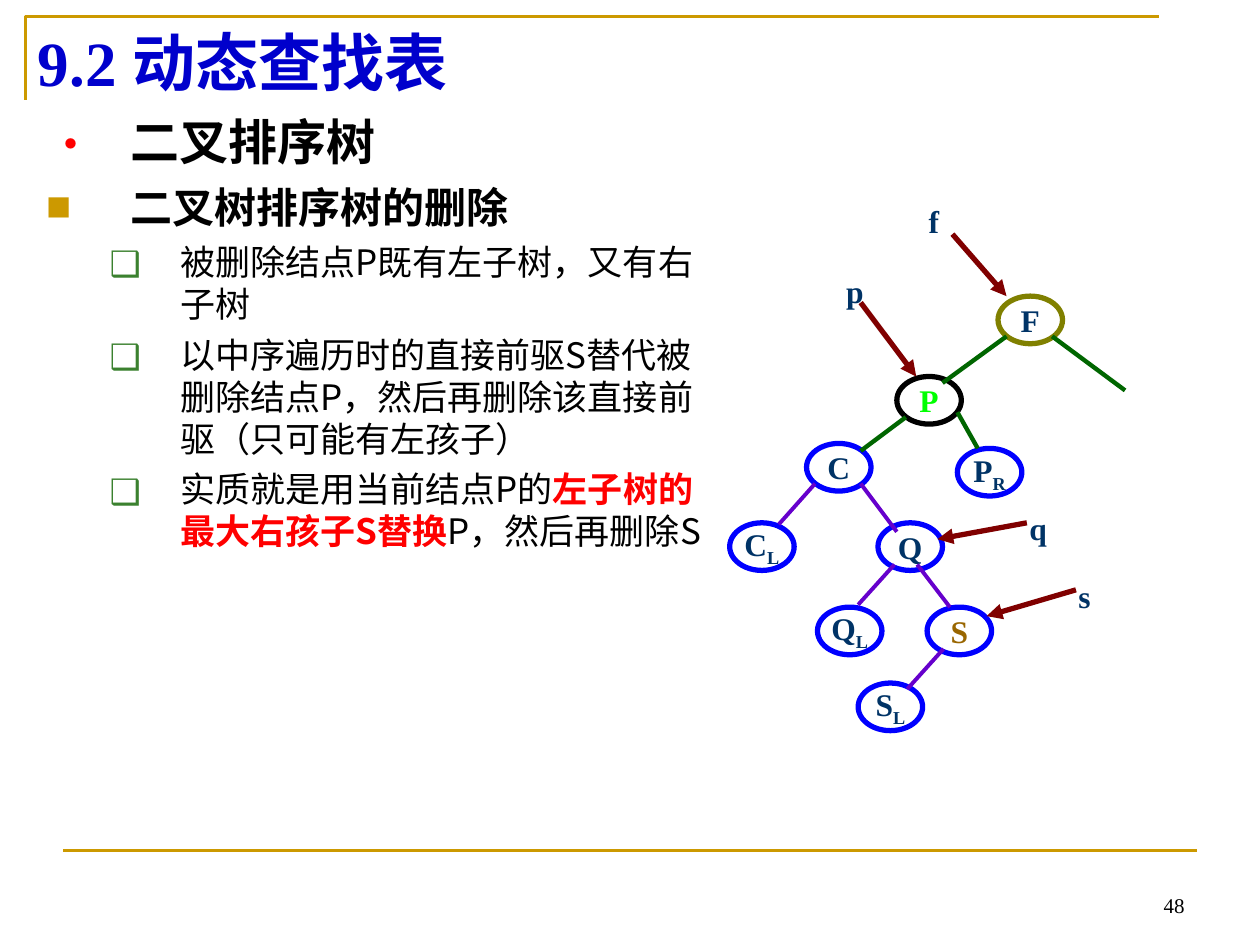
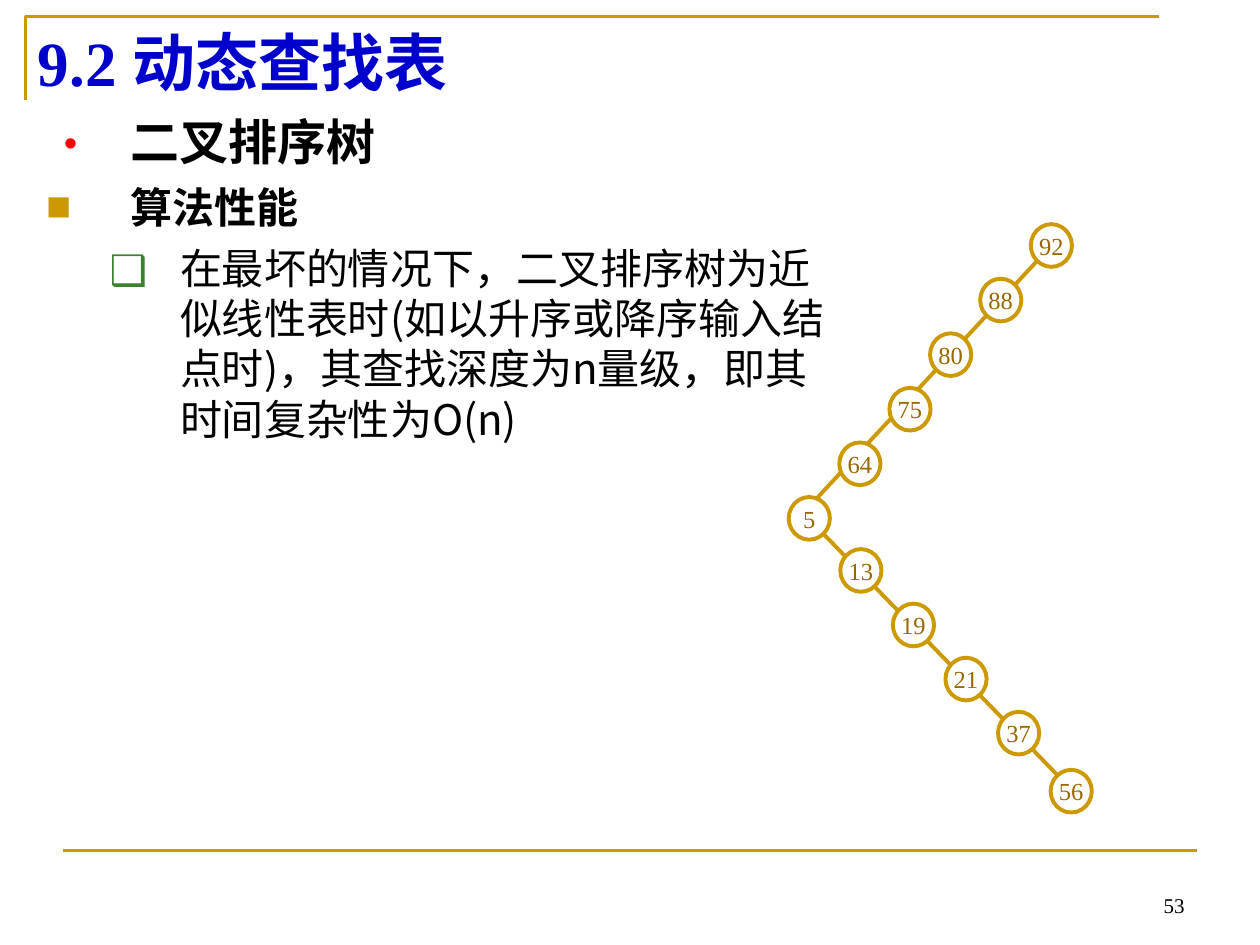
"""Builds two slides on binary search trees: node deletion and worst-case performance."""
from lxml.etree import SubElement
from pptx import Presentation
from pptx.dml.color import RGBColor
from pptx.enum.shapes import MSO_CONNECTOR, MSO_SHAPE
from pptx.enum.text import MSO_ANCHOR, PP_ALIGN
from pptx.oxml.ns import qn
from pptx.util import Cm, Pt

SERIF = "Times New Roman"
SANS = "Noto Sans CJK SC"
GOLD, BROWN, NAVY, BLUE = "CC9900", "996600", "003366", "0000FF"
BLACK, RED, MAROON = "000000", "FF0000", "800000"
GREEN, PURPLE = "006600", "6600CC"

BULLETS = {
    "topic": ("•", RED, 100, 1.7, 1.7),
    "section": ("■", GOLD, 60, 1.7, 1.7),
    "point": ("❑", "3B812F", 100, 2.69, 1.42),
}


def color(value):
    return RGBColor.from_string(value)


class Slides:
    def __init__(self):
        self.deck = Presentation()
        self.deck.slide_width, self.deck.slide_height = Cm(25.4), Cm(19.05)
        self.page = None

    def start(self, title, number):
        self.page = self.deck.slides.add_slide(self.deck.slide_layouts[5])
        corner = self.page.shapes.build_freeform(Cm(0.51), Cm(2.01))
        corner.add_line_segments([(Cm(0.51), Cm(0.33)), (Cm(23.37), Cm(0.33))], close=False)
        frame = corner.convert_to_shape()
        frame.shadow.inherit = False
        frame.fill.background()
        self.outline(frame, GOLD, 1.5)
        self.line((1.27, 17.15, 24.13, 17.15), GOLD, 1.5)

        heading = self.page.shapes.title
        heading.left, heading.top, heading.width, heading.height = Cm(0.51), Cm(0.33), Cm(22.86), Cm(1.8)
        heading.text_frame.vertical_anchor = MSO_ANCHOR.MIDDLE
        para = heading.text_frame.paragraphs[0]
        para.alignment = PP_ALIGN.LEFT
        self.span(para, title, 36, "0000CC", bold=True)

        self.text((18.21, 17.35, 5.92, 1.27), str(number), 12, BLACK,
                  align=PP_ALIGN.RIGHT, anchor=MSO_ANCHOR.BOTTOM)

    def outline(self, shape, line_color, width):
        shape.line.color.rgb = color(line_color)
        shape.line.width = Pt(width)

    def span(self, para, text, size, text_color, bold=False, font=SERIF):
        run = para.add_run()
        run.text = text
        run.font.size, run.font.bold, run.font.name = Pt(size), bold, font
        run.font.color.rgb = color(text_color)
        SubElement(run.font._element, qn("a:ea")).set("typeface", SANS)
        return run

    def text(self, place, text, size, text_color, bold=False, wrap=True,
             align=PP_ALIGN.LEFT, anchor=MSO_ANCHOR.TOP):
        box = self.page.shapes.add_textbox(*map(Cm, place))
        box.text_frame.word_wrap = wrap
        box.text_frame.vertical_anchor = anchor
        para = box.text_frame.paragraphs[0]
        para.alignment = align
        self.span(para, text, size, text_color, bold)

    def line(self, ends, line_color, width, arrow=False):
        connector = self.page.shapes.add_connector(MSO_CONNECTOR.STRAIGHT, *map(Cm, ends))
        self.outline(connector, line_color, width)
        if arrow:
            SubElement(connector.line._get_or_add_ln(), qn("a:tailEnd")).set("type", "triangle")
        SubElement(connector._element.spPr, qn("a:effectLst"))

    def node(self, place, label, size, text_color, line_color, width,
             subscript="", bold=False, fill=None):
        oval = self.page.shapes.add_shape(MSO_SHAPE.OVAL, *map(Cm, place))
        oval.shadow.inherit = False
        if fill:
            oval.fill.solid()
            oval.fill.fore_color.rgb = color(fill)
        else:
            oval.fill.background()
        self.outline(oval, line_color, width)
        oval.text_frame.word_wrap = False
        oval.text_frame.vertical_anchor = MSO_ANCHOR.MIDDLE
        para = oval.text_frame.paragraphs[0]
        para.alignment = PP_ALIGN.CENTER
        self.span(para, label, size, text_color, bold)
        if subscript:
            lowered = self.span(para, subscript, size, text_color, bold)
            lowered.font._element.set("baseline", "-25000")

    def outline_text(self, place, items):
        box = self.page.shapes.add_textbox(*map(Cm, place))
        box.text_frame.word_wrap = True
        for index, (kind, size, before, spans) in enumerate(items):
            para = box.text_frame.paragraphs[0] if index == 0 else box.text_frame.add_paragraph()
            self.bullet(para, *BULLETS[kind])
            para.line_spacing = Pt(size * 1.2)
            para.space_before = Pt(before)
            for text, text_color, bold in spans:
                self.span(para, text, size, text_color, bold, SANS)

    def bullet(self, para, symbol, symbol_color, percent, margin, hanging):
        props = para._p.get_or_add_pPr()
        props.set("marL", str(Cm(margin)))
        props.set("indent", str(-Cm(hanging)))
        tint = SubElement(props, qn("a:buClr"))
        SubElement(tint, qn("a:srgbClr")).set("val", symbol_color)
        SubElement(props, qn("a:buSzPct")).set("val", str(percent * 1000))
        SubElement(props, qn("a:buFont")).set("typeface", SANS)
        SubElement(props, qn("a:buChar")).set("char", symbol)


def heads(section):
    return [("topic", 28, 0, [("二叉排序树", BLACK, True)]),
            ("section", 24, 6, [(section, BLACK, True)])]


def deletion(slides):
    slides.start("9.2 动态查找表", 48)
    points = [
        [("被删除结点P既有左子树，又有右子树", BLACK, False)],
        [("以中序遍历时的直接前驱S替代被删除结点P，然后再删除该直接前驱（只可能有左孩子）", BLACK, False)],
        [("实质就是用当前结点P的", BLACK, False),
         ("左子树的最大右孩子S替换", RED, True),
         ("P，然后再删除S", BLACK, False)],
    ]
    slides.outline_text((0.69, 2.13, 13.79, 12.6),
                        heads("二叉树排序树的删除") + [("point", 20, 5, spans) for spans in points])

    tree_nodes = [
        (20.12, 5.97, "F", "", NAVY, "808000"),
        (18.08, 7.59, "P", "", "00FF00", BLACK),
        (16.26, 8.94, "C", "", NAVY, BLUE),
        (19.3, 9.04, "P", "R", NAVY, BLUE),
        (14.71, 10.54, "C", "L", NAVY, BLUE),
        (17.7, 10.54, "Q", "", NAVY, BLUE),
        (16.48, 12.24, "Q", "L", NAVY, BLUE),
        (18.69, 12.24, "S", "", BROWN, BLUE),
        (17.3, 13.77, "S", "L", NAVY, BLUE),
    ]
    for left, top, label, subscript, text_color, line_color in tree_nodes:
        slides.node((left, top, 1.3, 0.96), label, 18, text_color, line_color, 3, subscript, bold=True)

    upper_edges = [(20.29, 6.78, 19, 7.72), (21.21, 6.78, 22.68, 7.87),
                   (18.26, 8.41, 17.35, 9.09), (19.3, 8.31, 19.71, 9.04)]
    lower_edges = [(16.43, 9.75, 15.7, 10.57), (17.35, 9.75, 18.08, 10.72),
                   (18.03, 11.38, 17.3, 12.19), (18.49, 11.38, 19.15, 12.24),
                   (19.02, 13.08, 18.29, 13.89)]
    for edges, line_color, width in ((upper_edges, GREEN, 2.5), (lower_edges, PURPLE, 2.25)):
        for ends in edges:
            slides.line(ends, line_color, width)

    pointers = [
        ("f", (18.47, 3.94, 0.81, 1.02), (19.2, 4.72, 20.29, 5.97)),
        ("p", (16.81, 5.36, 0.86, 1.02), (17.35, 6.1, 18.47, 7.59)),
        ("q", (20.5, 10.13, 0.86, 1.02), (20.7, 10.54, 18.9, 10.87)),
        ("s", (21.49, 11.51, 0.74, 1.02), (21.69, 11.89, 19.89, 12.42)),
    ]
    for name, place, ends in pointers:
        slides.text(place, name, 18, NAVY, bold=True, wrap=False)
        slides.line(ends, MAROON, 3, arrow=True)


def performance(slides):
    slides.start("9.2 动态查找表", 53)
    worst_case = "在最坏的情况下，二叉排序树为近似线性表时(如以升序或降序输入结点时)，其查找深度为n量级，即其时间复杂性为O(n)"
    slides.outline_text((0.69, 2.13, 16.61, 8.41),
                        heads("算法性能") + [("point", 24, 6, [(worst_case, BLACK, False)])])

    slides.line((20.98, 5.18, 16.1, 10.44), GOLD, 2.25)
    slides.line((16.51, 10.67, 21.36, 15.67), GOLD, 2.25)
    falling = zip((92, 88, 80, 75, 64, 5), (20.78, 19.76, 18.75, 17.93, 16.92, 15.9))
    rising = zip((13, 19, 21, 37, 56), (11.07, 12.17, 13.26, 14.35, 15.52))
    places = [(key, left, 4.52 + 1.1 * step) for step, (key, left) in enumerate(falling)]
    places += [(key, 16.94 + 1.06 * step, top) for step, (key, top) in enumerate(rising)]
    for key, left, top in places:
        slides.node((left, top, 0.83, 0.86), str(key), 14, BROWN, GOLD, 2.25, fill="FFFFFF")


def main():
    slides = Slides()
    deletion(slides)
    performance(slides)
    slides.deck.save("out.pptx")


if __name__ == "__main__":
    main()
